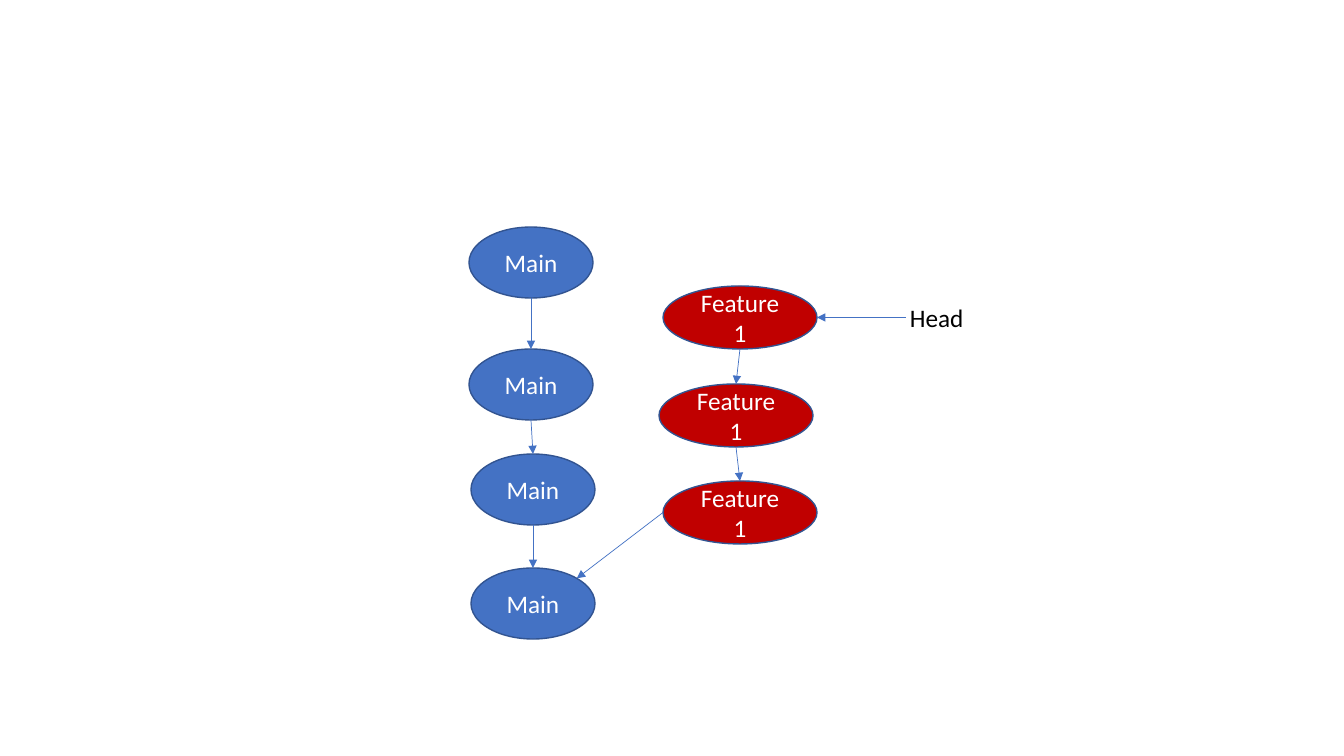
from dataclasses import dataclass
from itertools import pairwise
from math import cos, pi, sin

from lxml.etree import SubElement
from pptx import Presentation
from pptx.dml.color import RGBColor as Rgb
from pptx.enum.shapes import MSO_CONNECTOR as Connector, MSO_SHAPE as Preset
from pptx.enum.text import MSO_ANCHOR as Anchor, MSO_AUTO_SIZE as AutoSize, PP_ALIGN as Align
from pptx.oxml.ns import qn
from pptx.util import Emu, Pt

COLOURS = {"main": "4472C4", "feature": "C00000", "outline": "325491",
           "arrow": "4472C4", "on_node": "FFFFFF", "label": "000000"}
FONT = {"name": "Calibri", "size": Pt(18)}
NODE_FRAME = {"word_wrap": True, "vertical_anchor": Anchor.MIDDLE}
LABEL_FRAME = {"word_wrap": True, "auto_size": AutoSize.SHAPE_TO_FIT_TEXT}
EMU_PER_PX = 12192000 / 1344

Point = tuple[float, float]


@dataclass(frozen=True)
class Commit:
    text: str
    colour: str
    left: int
    top: int
    width: int
    height: int

    def rim(self, angle: float) -> Point:
        """Point on the ellipse, with the angle clockwise from the right."""
        return (self.left + self.width / 2 * (1 + cos(angle)),
                self.top + self.height / 2 * (1 + sin(angle)))


RIGHT, DOWN, LEFT, UP, UP_RIGHT = 0, pi / 2, pi, -pi / 2, -pi / 4


def px(length: float) -> Emu:
    return Emu(round(length * EMU_PER_PX))


def colour(key: str) -> Rgb:
    return Rgb.from_string(COLOURS[key])


def apply(target, values: dict) -> None:
    for key, value in values.items():
        setattr(target, key, value)


def write(frame, text: str, ink: str, align: Align, frame_format: dict) -> None:
    apply(frame, frame_format)
    paragraph = frame.paragraphs[0]
    paragraph.alignment = align
    run = paragraph.add_run()
    run.text = text
    apply(run.font, FONT)
    run.font.color.rgb = colour(ink)


def draw_commit(shapes, commit: Commit) -> None:
    box = map(px, (commit.left, commit.top, commit.width, commit.height))
    node = shapes.add_shape(Preset.OVAL, *box)
    node.shadow.inherit = False
    node.fill.solid()
    node.fill.fore_color.rgb = colour(commit.colour)
    node.line.color.rgb = colour("outline")
    node.line.width = Pt(1)
    write(node.text_frame, commit.text, "on_node", Align.CENTER, NODE_FRAME)


def draw_arrow(shapes, start: Point, end: Point) -> None:
    arrow = shapes.add_connector(Connector.STRAIGHT, *map(px, start + end))
    arrow.line.color.rgb = colour("arrow")
    arrow.line.width = Pt(0.5)
    SubElement(arrow.line._get_or_add_ln(), qn("a:tailEnd"), type="triangle")
    SubElement(arrow._element.spPr, qn("a:effectLst"))


deck = Presentation()
apply(deck, {"slide_width": px(1344), "slide_height": px(756)})
shapes = deck.slides.add_slide(deck.slide_layouts[6]).shapes

# Branches, newest commit first
main = [Commit("Main", "main", left, top, 124, 71)
        for left, top in ((469, 227), (469, 349), (471, 454), (471, 568))]
feature = [Commit("Feature 1", "feature", left, top, 154, 63)
           for left, top in ((663, 286), (659, 384), (663, 481))]
for commit in main + feature:
    draw_commit(shapes, commit)

# Arrows from each commit to its parent
for branch in (main, feature):
    for child, parent in pairwise(branch):
        draw_arrow(shapes, child.rim(DOWN), parent.rim(UP))
draw_arrow(shapes, feature[-1].rim(LEFT), main[-1].rim(UP_RIGHT))

# Head pointer
head = shapes.add_group_shape().shapes
tip = feature[0].rim(RIGHT)
draw_arrow(head, (906, tip[1]), tip)
head_label = head.add_textbox(*map(px, (900, 297, 102, 40)))
write(head_label.text_frame, "Head", "label", Align.LEFT, LABEL_FRAME)

deck.save("out.pptx")
